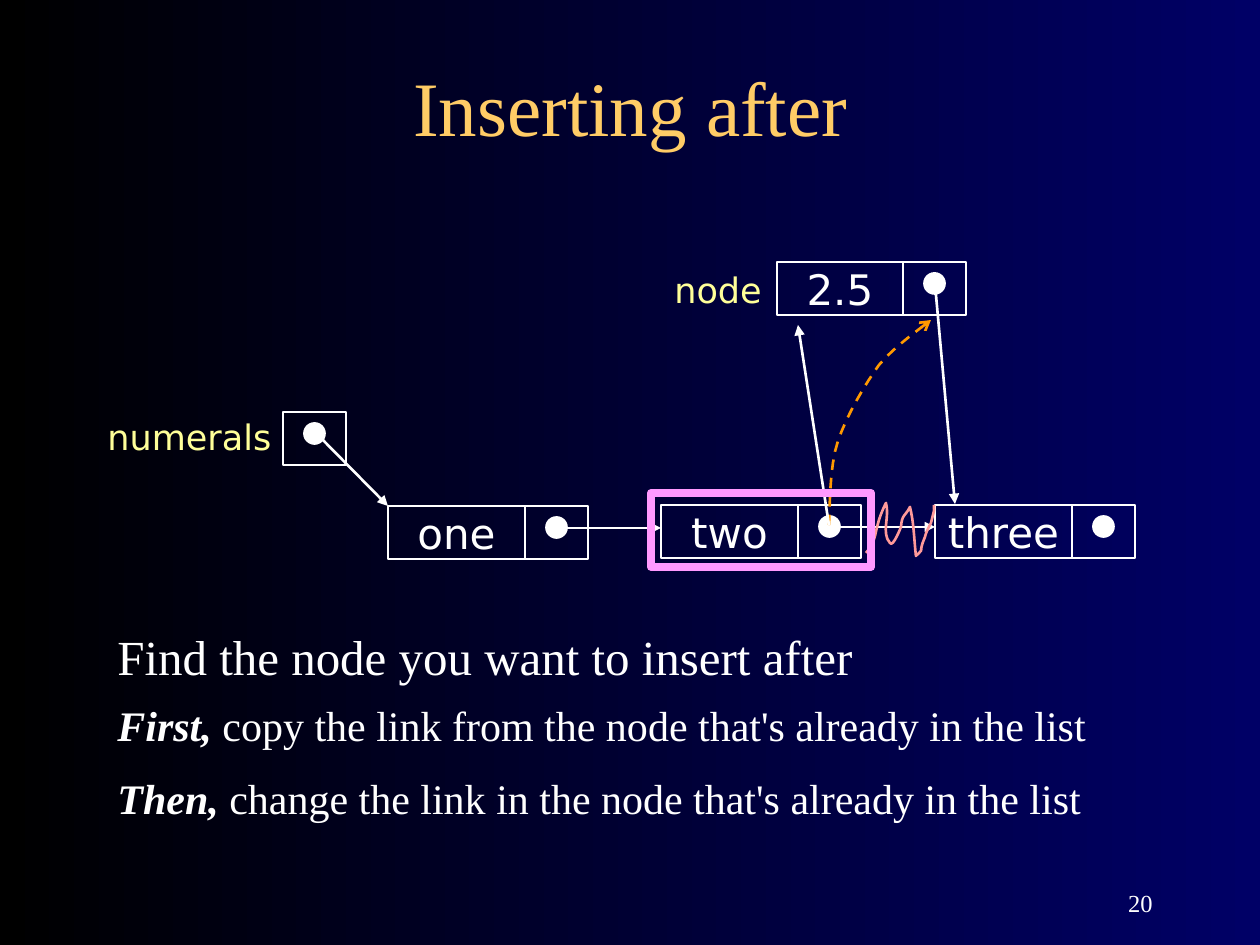
from pptx import Presentation
from pptx import util as u
from pptx.dml.color import RGBColor
from pptx.enum import dml, shapes, text
from pptx.oxml.ns import qn
from lxml import etree

SCALE = 914400 / 126
BLACK = RGBColor(0x00, 0x00, 0x00)
NAVY = RGBColor(0x00, 0x00, 0x66)
WHITE = RGBColor(0xFF, 0xFF, 0xFF)
GOLD = RGBColor(0xFF, 0xCC, 0x66)
YELLOW = RGBColor(0xFF, 0xFF, 0x99)
ORANGE = RGBColor(0xFF, 0x99, 0x00)
SALMON = RGBColor(0xFF, 0x99, 0x99)
PINK = RGBColor(0xFF, 0x99, 0xFF)
SERIF = "Times New Roman"
SANS = "DejaVu Sans"
CELL_HEIGHT = 53
LINK_WIDTH = 63


def px(length):
    return u.Emu(round(length * SCALE))


def curve_points(points, steps=8):
    result = [points[0]]
    for i in range(0, len(points) - 1, 3):
        a, b, c, d = points[i:i + 4]
        for step in range(1, steps + 1):
            t = step / steps
            s = 1 - t
            weights = (s ** 3, 3 * s * s * t, 3 * s * t * t, t ** 3)
            result.append(tuple(
                sum(w * p[axis] for w, p in zip(weights, (a, b, c, d)))
                for axis in (0, 1)))
    return result


class Slide:
    def __init__(self, deck):
        self.page = deck.slides.add_slide(deck.slide_layouts[5])

    def background(self, start, end):
        fill = self.page.background.fill
        fill.gradient()
        fill.gradient_angle = 0
        for stop, color, position in zip(fill.gradient_stops, (start, end), (0, 1)):
            stop.color.rgb = color
            stop.position = position

    def set_text(self, para, spans, size, color, font, align):
        para.alignment = align
        para.font.size = u.Pt(size)
        para.font.name = font
        para.font.color.rgb = color
        for words, strong in spans:
            span = para.add_run()
            span.text = words
            if strong:
                span.font.bold = span.font.italic = True

    def title(self, words):
        box = self.page.shapes.title
        box.left, box.top, box.width, box.height = map(px, (95, 53, 1071, 105))
        box.text_frame.vertical_anchor = text.MSO_ANCHOR.MIDDLE
        self.set_text(box.text_frame.paragraphs[0], [(words, False)], 44, GOLD, SERIF,
                      text.PP_ALIGN.CENTER)

    def label(self, place, spans, size, color=WHITE, font=SERIF,
              align=text.PP_ALIGN.LEFT, anchor=text.MSO_ANCHOR.TOP):
        box = self.page.shapes.add_textbox(*map(px, place))
        box.text_frame.word_wrap = True
        box.text_frame.vertical_anchor = anchor
        self.set_text(box.text_frame.paragraphs[0], spans, size, color, font, align)

    def outline(self, shape, color, width):
        shape.line.color.rgb = color
        shape.line.width = u.Pt(width)

    def arrowhead(self, shape, kind):
        line = shape.line._get_or_add_ln()
        etree.SubElement(line, qn("a:tailEnd"), type=kind)

    def shape(self, kind, place, color=WHITE, width=1, filled=False):
        shape = self.page.shapes.add_shape(kind, *map(px, place))
        shape.shadow.inherit = False
        if filled:
            shape.fill.solid()
            shape.fill.fore_color.rgb = color
        else:
            shape.fill.background()
        self.outline(shape, color, width)
        return shape

    def frame(self, place, color=WHITE, width=1):
        return self.shape(shapes.MSO_SHAPE.RECTANGLE, place, color, width)

    def link(self, left, top):
        self.frame((left, top, LINK_WIDTH, CELL_HEIGHT))
        self.shape(shapes.MSO_SHAPE.OVAL, (left + 21, top + 11, 21, 21), filled=True)

    def node(self, left, top, words, width=137):
        cell = self.frame((left, top, width, CELL_HEIGHT))
        cell.text_frame.word_wrap = False
        cell.text_frame.vertical_anchor = text.MSO_ANCHOR.MIDDLE
        self.set_text(cell.text_frame.paragraphs[0], [(words, False)], 24, WHITE, SANS,
                      text.PP_ALIGN.CENTER)
        self.link(left + width, top)

    def arrow(self, start, end, width=1.5):
        line = self.page.shapes.add_connector(
            shapes.MSO_CONNECTOR.STRAIGHT, *map(px, start + end))
        self.outline(line, WHITE, width)
        self.arrowhead(line, "triangle")
        etree.SubElement(line._element.spPr, qn("a:effectLst"))

    def curve(self, points, color, dashed_arrow=False):
        start, *rest = [(px(x), px(y)) for x, y in curve_points(points)]
        builder = self.page.shapes.build_freeform(*start)
        builder.add_line_segments(rest, close=False)
        curve = builder.convert_to_shape()
        curve.shadow.inherit = False
        curve.fill.background()
        self.outline(curve, color, 1.5)
        if dashed_arrow:
            curve.line.dash_style = dml.MSO_LINE.DASH
            self.arrowhead(curve, "arrow")


deck = Presentation()
deck.slide_width, deck.slide_height = px(1260), px(945)
slide = Slide(deck)
slide.background(BLACK, NAVY)
slide.title("Inserting after")
slide.label((903, 861, 262, 63), [("20", False)], 14,
            align=text.PP_ALIGN.RIGHT, anchor=text.MSO_ANCHOR.BOTTOM)

for left, top, words in ((935, 505, "three"), (661, 505, "two"), (388, 506, "one")):
    slide.node(left, top, words)
for left, right, level in ((829, 935, 527), (556, 661, 528)):
    slide.arrow((left, level), (right, level), 1)

slide.link(283, 412)
slide.node(777, 262, "2.5", 126)
for place, words in (((95, 409, 199, 54), "numerals"), ((662, 262, 115, 54), "node")):
    slide.label(place, [(words, False)], 20, YELLOW, SANS)
slide.arrow((315, 432), (388, 506))

slide.label((105, 620, 1018, 72), [("Find the node you want to insert after", False)], 28)
for top, lead, rest in (
        (693, "First,", " copy the link from the node that's already in the list"),
        (766, "Then,", " change the link in the node that's already in the list")):
    slide.label((105, top, 1092, 63), [(lead, True), (rest, False)], 24)

slide.curve([(829, 525), (830, 512), (829, 467), (838, 441), (847, 415), (864, 386),
             (879, 365), (896, 345), (920, 329), (931, 320)], ORANGE, dashed_arrow=True)
slide.arrow((935, 284), (955, 504))
slide.arrow((829, 525), (798, 325))
slide.curve([(866, 553), (876, 541), (874, 537), (879, 520), (881, 514), (883, 509),
             (886, 503), (890, 517), (881, 533), (890, 543), (893, 548), (901, 527),
             (901, 527), (902, 514), (905, 517), (910, 507), (914, 523), (914, 539),
             (916, 556), (926, 546), (917, 556), (925, 537), (926, 532), (931, 523),
             (931, 523), (935, 507), (934, 513), (934, 505)], SALMON)
slide.frame((651, 493, 220, 74), PINK, 4.5)

deck.save("out.pptx")
